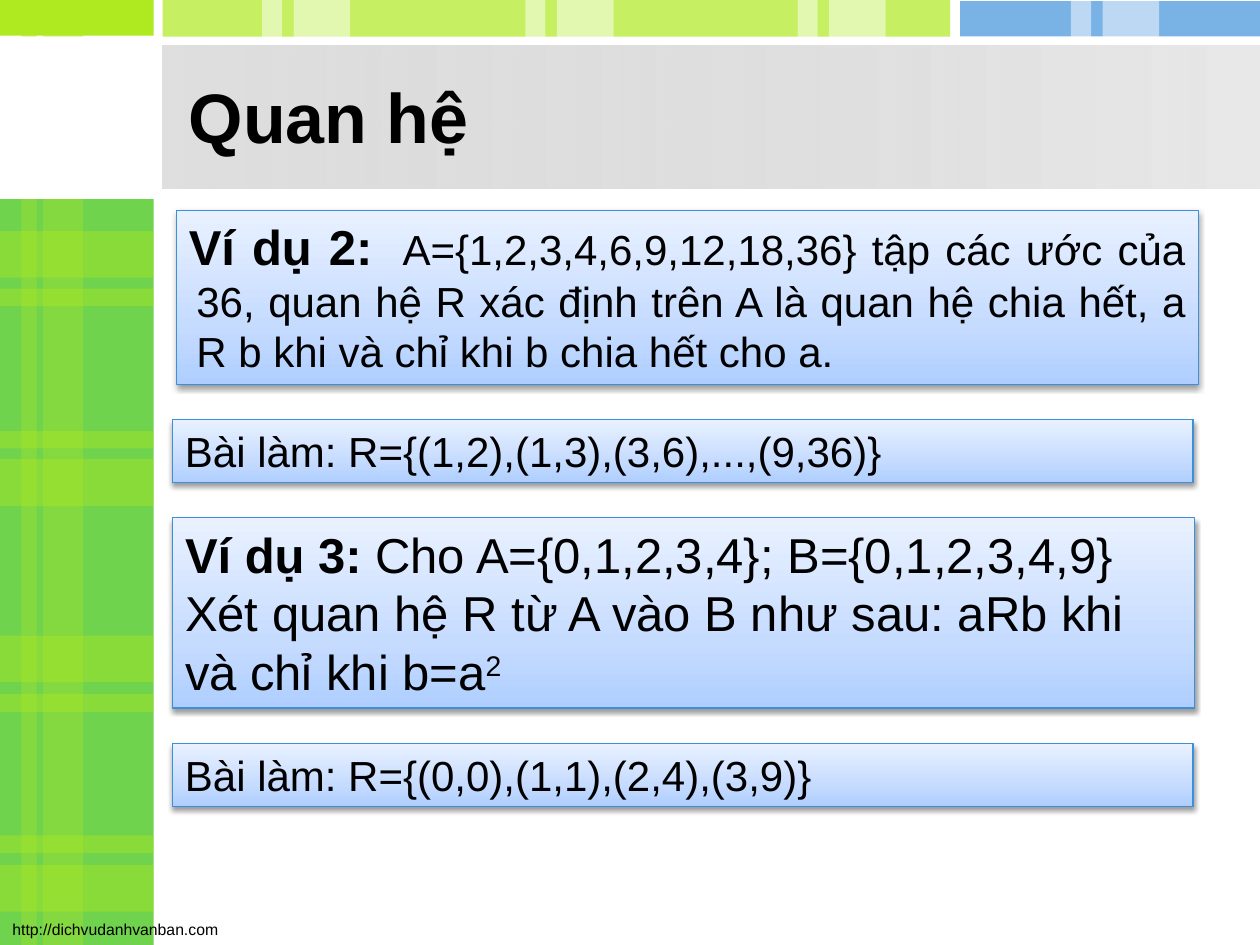
"""Build the slide on relations, with two worked examples."""
from lxml.etree import SubElement as Sub
from pptx import Presentation
from pptx.dml.color import RGBColor as Rgb
from pptx.enum.shapes import MSO_SHAPE as Kind
from pptx.enum.text import MSO_ANCHOR as Anchor, MSO_AUTO_SIZE as Auto, PP_ALIGN as Align
from pptx.oxml.ns import qn
from pptx.util import Pt

HUES = {"leaf": "70D34D", "lime": "AFE91F", "blue": "4192DB", "white": "FFFFFF",
        "black": "000000", "edge": "3C8FDA", "gray": "C0C0C0", "pale": "E8E8E8",
        "deep": "AFCEFF", "mid": "C6DCFF", "light": "E9F1FF"}

SIDE, TOP, BAR = 87.84, 113.76, 426.24
BASE = [
    ((0, TOP, SIDE, BAR), "leaf", 100),
    ((0, 0, SIDE, 20.4), "lime", 100),
    ((92.88, 0, 450, 20.88), "lime", 70),
    ((548.64, 0.72, 171.36, 20.16), "blue", 70),
]
STRIPES = [(12.24, 8.64), (24.48, 23.04)]
BANDS = [(132.12, 164.88), (262.44, 246.24), (363.24, 396.72), (494.28, 477.36)]
GAPS = [(149.76, 22.32), (300.24, 22.32), (455.76, 22.32), (612, 23.76)]
HEAD = (92.88, 25.92, 627.12, 82.08)
HEAD_FILL = [(0, "gray", 50), (100, "pale", 100)]
CARD_FILL = [(0, "deep", 100), (35, "mid", 100), (100, "light", 100)]

BIG = {"size": 28, "bold": True}
CARDS = [
    ((100.8, 120.24, 583.92, 99.36), [[
        ("Ví dụ 2: ", BIG),
        (" A={1,2,3,4,6,9,12,18,36} tập các ước của 36, quan hệ R xác định trên A là "
         "quan hệ chia hết, a R b khi và chỉ khi b chia hết cho a. ", {})]],
     {"align": Align.JUSTIFY, "hang": 4.32}),
    ((98.64, 239.76, 583.2, 36), [[("Bài làm: R={(1,2),(1,3),(3,6),...,(9,36)}", {})]], {}),
    ((98.64, 295.92, 583.92, 108.72), [
        [("Ví dụ 3: ", BIG), ("Cho A={0,1,2,3,4}; B={0,1,2,3,4,9}", {"size": 28})],
        [("Xét quan hệ R từ A vào B như sau: aRb khi và chỉ khi b=a", {"size": 28}),
         ("2", {"size": 28, "base": 30})]], {}),
    ((98.64, 424.8, 583.2, 36), [[("Bài làm: R={(0,0),(1,1),(2,4),(3,9)}", {})]], {}),
]


def tint(parent, hue, alpha):
    node = Sub(parent, qn("a:srgbClr"), val=HUES[hue])
    if alpha < 100:
        Sub(node, qn("a:alpha"), val=str(alpha * 1000))


def rect(slide, area):
    shape = slide.shapes.add_shape(Kind.RECTANGLE, *map(Pt, area))
    shape.shadow.inherit = False
    shape.line.fill.background()
    return shape


def flat(slide, area, hue, alpha):
    shape = rect(slide, area)
    shape.fill.solid()
    shape.fill.fore_color.rgb = Rgb.from_string(HUES[hue])
    if alpha < 100:
        node = shape._element.spPr.find(".//" + qn("a:srgbClr"))
        Sub(node, qn("a:alpha"), val=str(alpha * 1000))


def blend(shape, stops, angle):
    shape.fill.gradient()
    grad = shape._element.spPr.find(qn("a:gradFill"))
    for node in list(grad):
        grad.remove(node)
    group = Sub(grad, qn("a:gsLst"))
    for place, hue, alpha in stops:
        tint(Sub(group, qn("a:gs"), pos=str(place * 1000)), hue, alpha)
    Sub(grad, qn("a:lin"), ang=str(angle * 60000), scaled="0")


def shade(shape):
    effect = shape._element.spPr.find(qn("a:effectLst"))
    node = Sub(effect, qn("a:outerShdw"), blurRad=str(Pt(3.1)), dist=str(Pt(1.6)),
               dir="5400000", rotWithShape="0")
    tint(node, "black", 38)


def write(para, text, size=24, bold=False, base=0):
    run = para.add_run()
    run.text = text
    font = run.font
    font.name, font.size, font.bold = "Arial", Pt(size), bold
    font.color.rgb = Rgb.from_string(HUES["black"])
    if base:
        font._element.set("baseline", str(base * 1000))


def label(slide, area, text, wrap=True, anchor=Anchor.TOP, **form):
    frame = slide.shapes.add_textbox(*map(Pt, area)).text_frame
    frame.word_wrap, frame.vertical_anchor = wrap, anchor
    write(frame.paragraphs[0], text, **form)


def card(slide, area, paras, align=Align.LEFT, hang=0):
    shape = rect(slide, area)
    blend(shape, CARD_FILL, 270)
    shape.line.color.rgb = Rgb.from_string(HUES["edge"])
    shape.line.width = Pt(0.75)
    shade(shape)
    frame = shape.text_frame
    frame.word_wrap, frame.vertical_anchor = True, Anchor.TOP
    frame.auto_size = Auto.SHAPE_TO_FIT_TEXT
    for i, runs in enumerate(paras):
        para = frame.add_paragraph() if i else frame.paragraphs[0]
        para.alignment = align
        if hang:
            props = para._p.get_or_add_pPr()
            props.set("marL", str(Pt(hang)))
            props.set("indent", str(-Pt(hang)))
        for text, form in runs:
            write(para, text, **form)


def main():
    deck = Presentation()
    deck.slide_width, deck.slide_height = Pt(720), Pt(540)
    slide = deck.slides.add_slide(deck.slide_layouts[6])
    for area, hue, alpha in BASE:
        flat(slide, area, hue, alpha)
    for left, width in STRIPES:
        flat(slide, (left, TOP, width, BAR), "lime", 30)
        flat(slide, (left, 0, width, 20.88), "lime", 50)
    for wide, thin in BANDS:
        flat(slide, (0, wide, SIDE, 26.64), "lime", 40)
        flat(slide, (0, thin, SIDE, 10.08), "lime", 40)
    for left, high in GAPS:
        flat(slide, (left, 0, 11.52, high), "white", 50)
        flat(slide, (left + 18, 0, 32.4, high), "white", 50)
    blend(rect(slide, HEAD), HEAD_FILL, 0)
    label(slide, (0, 522, 133.2, 18), "http://dichvudanhvanban.com", wrap=False, size=9)
    label(slide, (100.8, 36, 511.2, 59.76), "Quan hệ", anchor=Anchor.MIDDLE, size=40, bold=True)
    for area, paras, form in CARDS:
        card(slide, area, paras, **form)
    deck.save("out.pptx")


if __name__ == "__main__":
    main()
